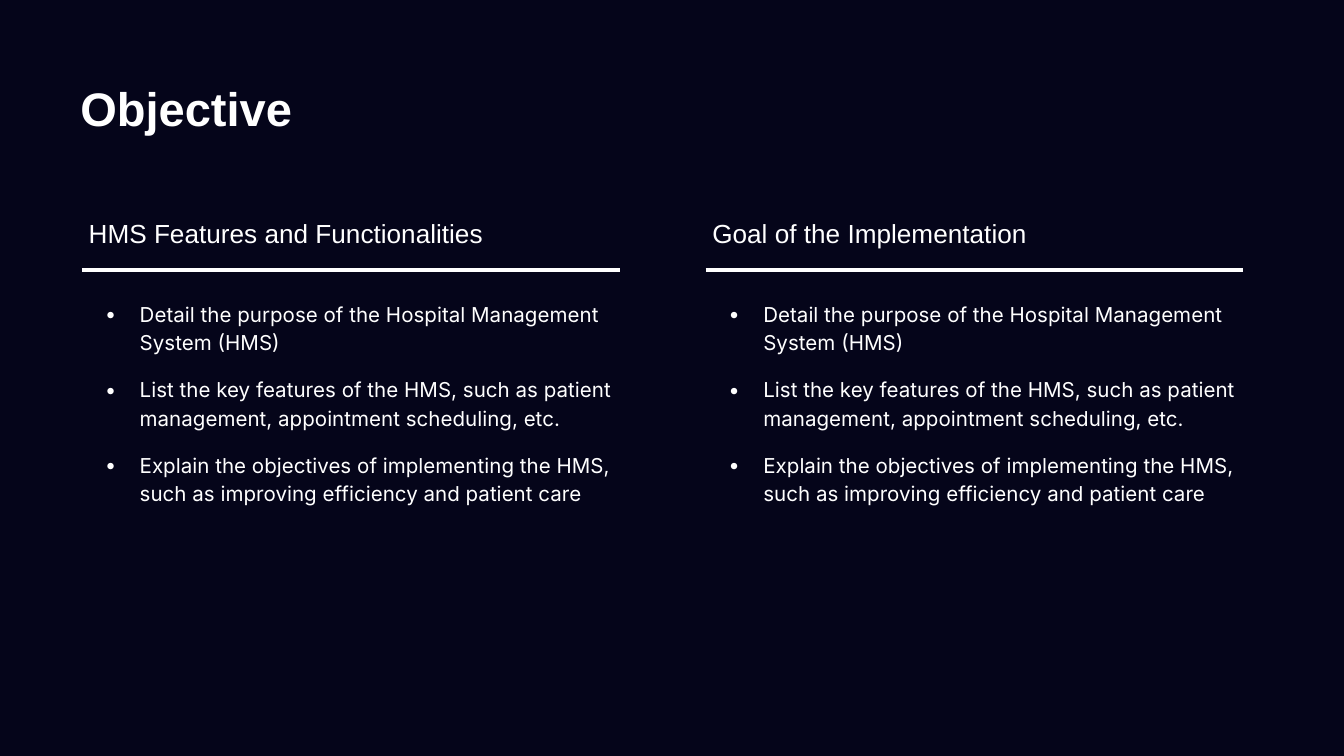
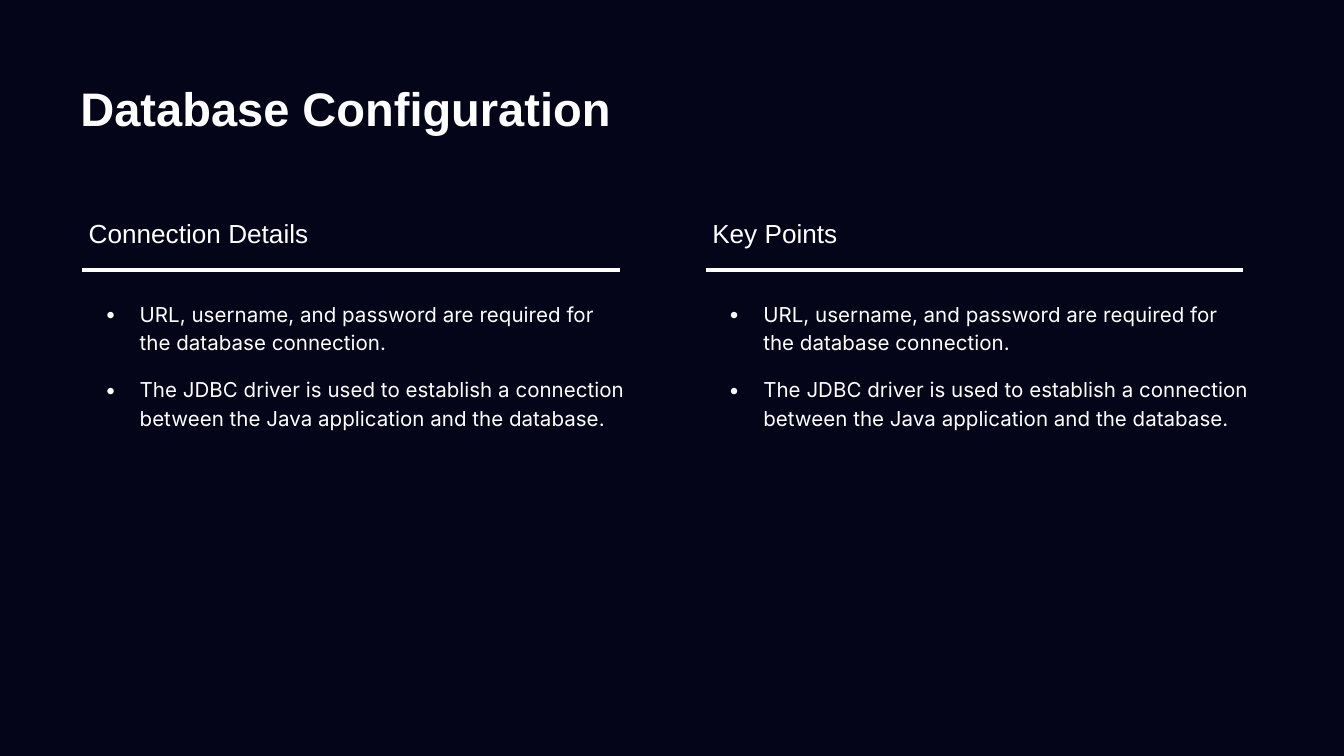
from lxml import etree
from pptx import Presentation
from pptx.dml.color import RGBColor
from pptx.enum.shapes import MSO_CONNECTOR
from pptx.enum.text import MSO_ANCHOR
from pptx.oxml.ns import qn
from pptx.util import Inches, Pt

TOP, MIDDLE, BOTTOM = MSO_ANCHOR.TOP, MSO_ANCHOR.MIDDLE, MSO_ANCHOR.BOTTOM
STRAIGHT = MSO_CONNECTOR.STRAIGHT
NAVY = RGBColor(0x05, 0x05, 0x1A)
WHITE = RGBColor(0xFF, 0xFF, 0xFF)

GOALS = [
    "Detail the purpose of the Hospital Management System (HMS)",
    "List the key features of the HMS, such as patient management, appointment scheduling, etc.",
    "Explain the objectives of implementing the HMS, such as improving efficiency and patient care",
]
SETUP = [
    "URL, username, and password are required for the database connection.",
    "The JDBC driver is used to establish a connection between the Java application and the database.",
]
SLIDES = [
    ("Objective", [
        ("HMS Features and Functionalities", GOALS),
        ("Goal of the Implementation", GOALS),
    ]),
    ("Database Configuration", [
        ("Connection Details", SETUP),
        ("Key Points", SETUP),
    ]),
]

PAGE_W = Inches(10)
PAGE_H = PAGE_W * 9 // 16
LEFTS = (0.61, 5.25)
WIDTH = 4.17
RULE_Y, RULE_W = 2.01, 4.0


def add_bullet(para, font):
    props = para._p.get_or_add_pPr()
    props.set("marL", str(Inches(0.38)))
    props.set("indent", str(Inches(-0.26)))
    color = etree.SubElement(props, qn("a:buClr"))
    etree.SubElement(color, qn("a:srgbClr")).set("val", str(WHITE))
    etree.SubElement(props, qn("a:buFont")).set("typeface", font)
    etree.SubElement(props, qn("a:buChar")).set("char", "•")


def add_text(slide, lines, box, size, font="Arial", bold=False, anchor=TOP,
             left=0.05, right=0.1, spacing=None, gap=0, after=0, bullet=False):
    frame = slide.shapes.add_textbox(*map(Inches, box)).text_frame
    frame.word_wrap = True
    frame.vertical_anchor = anchor
    frame.margin_left, frame.margin_right = Inches(left), Inches(right)
    frame.margin_top = frame.margin_bottom = Inches(0.1)
    for i, line in enumerate(lines):
        para = frame.add_paragraph() if i else frame.paragraphs[0]
        para.line_spacing = spacing
        para.space_before = Pt(gap if i else 0)
        para.space_after = Pt(after if i == len(lines) - 1 else 0)
        if bullet:
            add_bullet(para, font)
        run = para.add_run()
        run.text = line
        run.font.name, run.font.size, run.font.bold = font, Pt(size), bold
        run.font.color.rgb = WHITE


def add_rule(slide, left):
    y = Inches(RULE_Y)
    rule = slide.shapes.add_connector(STRAIGHT, Inches(left), y, Inches(left + RULE_W), y)
    rule.line.color.rgb = WHITE
    rule.line.width = Pt(2.25)
    etree.SubElement(rule._element.spPr, qn("a:effectLst"))


def add_column(slide, left, head, points):
    add_text(slide, points, (left, 2.12, WIDTH, 2.88), 11, font="Inter",
             spacing=1.15, gap=10, after=10, bullet=True)
    add_text(slide, [head], (left, 1.27, WIDTH, 0.68), 14, anchor=BOTTOM,
             right=0.15, after=12)


def add_page(deck, title, columns):
    slide = deck.slides.add_slide(deck.slide_layouts[6])
    fill = slide.background.fill
    fill.solid()
    fill.fore_color.rgb = NAVY
    for left, (head, points) in zip(LEFTS, columns):
        add_column(slide, left, head, points)
    add_text(slide, [title], (0.5, 0.49, 9, 0.63), 25.2, bold=True,
             anchor=MIDDLE, left=0.1)
    for left in LEFTS:
        add_rule(slide, left)


def main():
    deck = Presentation()
    deck.slide_width, deck.slide_height = PAGE_W, PAGE_H
    for title, columns in SLIDES:
        add_page(deck, title, columns)
    deck.save("out.pptx")


if __name__ == "__main__":
    main()
